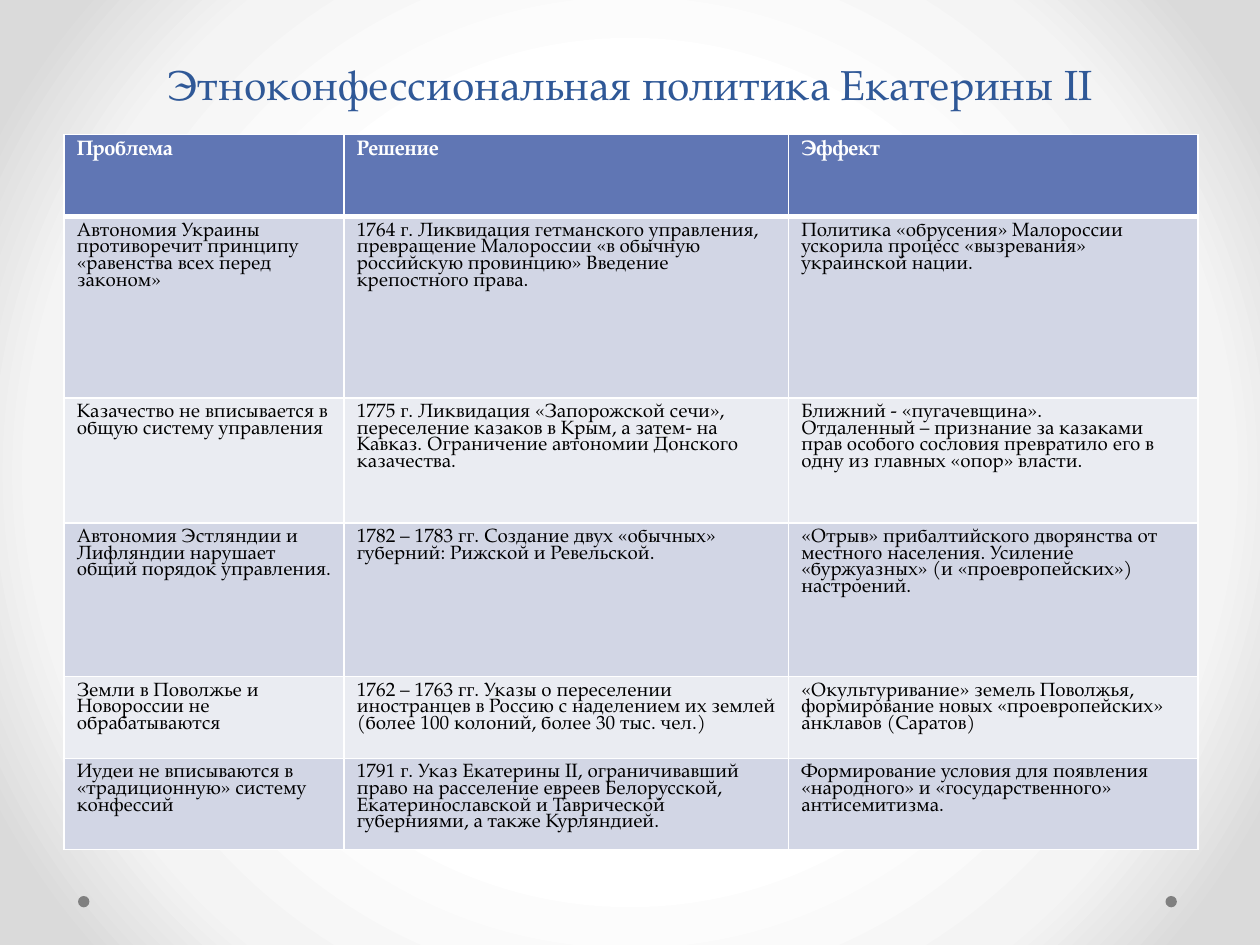
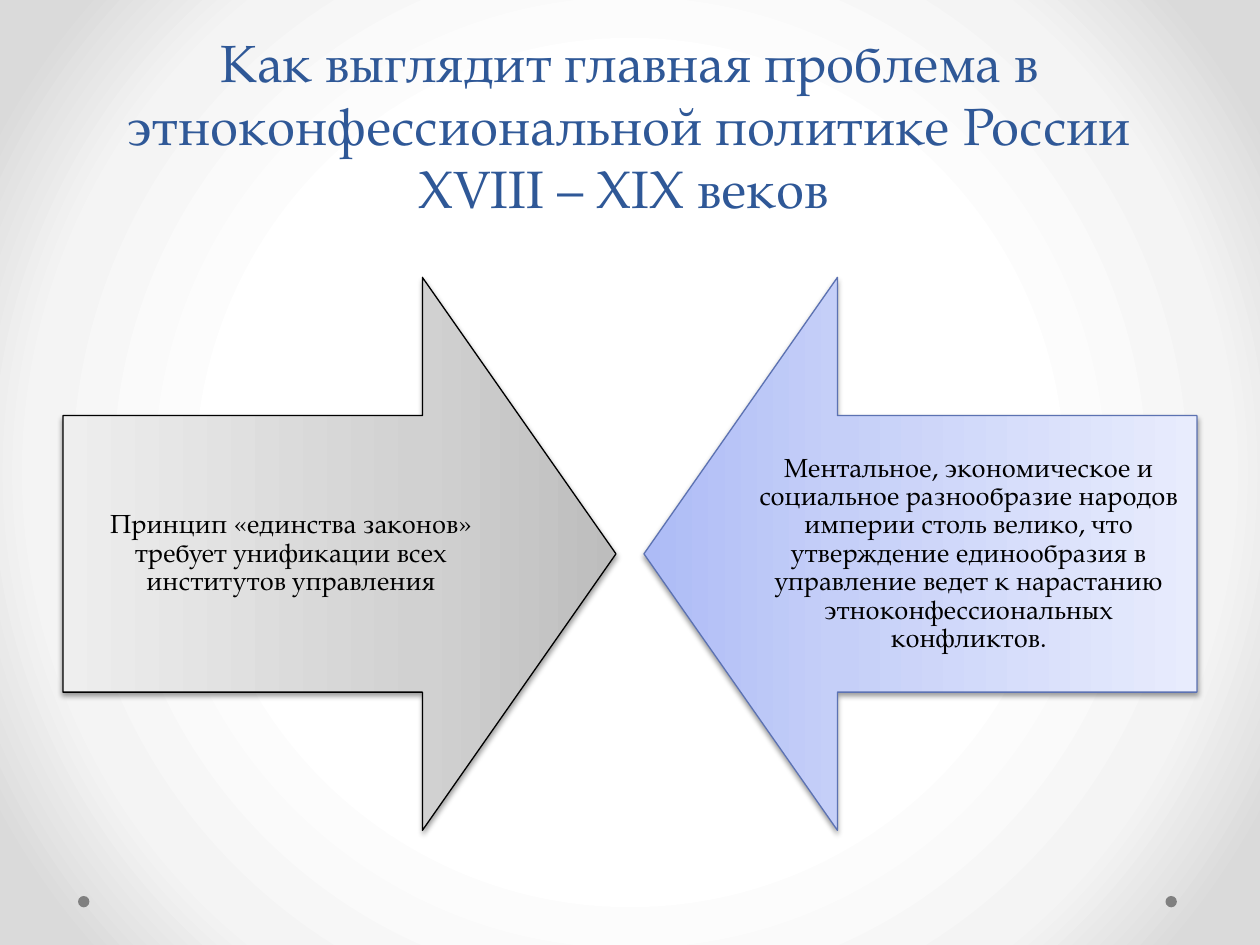
from lxml import etree
from pptx import Presentation
from pptx import util as u
from pptx.dml.color import RGBColor
from pptx.enum import shapes, text
from pptx.oxml import ns

Pt = u.Pt
FONT = "TeX Gyre Pagella"
BLACK = RGBColor(0, 0, 0)
WHITE = RGBColor(255, 255, 255)
TITLE_BLUE = RGBColor(0x2F, 0x58, 0x97)
DOT_GREY = RGBColor(0x80, 0x80, 0x80)
HEADER_BLUE = RGBColor(0x60, 0x76, 0xB4)
ROW_DARK = RGBColor(0xD2, 0xD6, 0xE5)
ROW_LIGHT = RGBColor(0xEA, 0xEC, 0xF2)
ARROW_BLUE = RGBColor(0x5C, 0x72, 0xB2)

# Gradient stops: position in percent, colour
BACKDROP = [(50, WHITE), (76, RGBColor(0xF4, 0xF4, 0xF4)), (92, RGBColor(0xDA, 0xDA, 0xDA))]
GREY_STOPS = [(0, RGBColor(0xBD, 0xBD, 0xBD)), (35, RGBColor(0xD1, 0xD1, 0xD1)),
              (100, RGBColor(0xEE, 0xEE, 0xEE))]
BLUE_STOPS = [(0, RGBColor(0xAD, 0xBB, 0xF6)), (35, RGBColor(0xC5, 0xCF, 0xF8)),
              (100, RGBColor(0xE8, 0xEC, 0xFD))]

MARGIN, CONTENT_W = 36, 648
COLUMNS = [160, 254, 234]
ROWS = [46.8, 103.7, 71.3, 87.8, 46.8, 46.8]
POLICY = [
    ["Проблема", "Решение", "Эффект"],
    ["Автономия Украины противоречит принципу «равенства всех перед законом»",
     "1764 г. Ликвидация гетманского управления, превращение Малороссии "
     "«в обычную российскую провинцию» Введение крепостного права.",
     "Политика «обрусения» Малороссии ускорила процесс «вызревания» украинской нации."],
    ["Казачество не вписывается в общую систему управления",
     "1775 г. Ликвидация «Запорожской сечи», переселение казаков в Крым, "
     "а затем- на Кавказ. Ограничение автономии Донского казачества.",
     "Ближний - «пугачевщина».\nОтдаленный – признание за казаками прав особого "
     "сословия превратило его в одну из главных «опор» власти."],
    ["Автономия Эстляндии и Лифляндии нарушает общий порядок управления.",
     "1782 – 1783 гг. Создание двух «обычных» губерний: Рижской и Ревельской.",
     "«Отрыв» прибалтийского дворянства от местного населения. Усиление "
     "«буржуазных» (и «проевропейских») настроений."],
    ["Земли в Поволжье и Новороссии не обрабатываются",
     "1762 – 1763 гг. Указы о переселении иностранцев в Россию с наделением "
     "их землей (более 100 колоний, более 30 тыс. чел.)",
     "«Окультуривание» земель Поволжья, формирование новых «проевропейских» "
     "анклавов (Саратов)"],
    ["Иудеи не вписываются в «традиционную» систему конфессий",
     "1791 г. Указ Екатерины II, ограничивавший право на расселение евреев "
     "Белорусской, Екатеринославской и Таврической губерниями, а также Курляндией.",
     "Формирование условия для появления «народного» и «государственного» антисемитизма."],
]


def add_xml(parent, tag, **attrs):
    return etree.SubElement(parent, ns.qn(tag), {k: str(v) for k, v in attrs.items()})


def set_gradient(owner, fill, stops, angle=None):
    """Linear gradient at an angle, or a circular one from the centre."""
    fill.gradient()
    grad = owner.element.find(".//" + ns.qn("a:gradFill"))
    for child in list(grad):
        grad.remove(child)
    gs_list = add_xml(grad, "a:gsLst")
    for pos, color in stops:
        gs = add_xml(gs_list, "a:gs", pos=pos * 1000)
        add_xml(gs, "a:srgbClr", val=color)
    if angle is None:
        circle = add_xml(grad, "a:path", path="circle")
        add_xml(circle, "a:fillToRect", l=50000, t=50000, r=50000, b=50000)
    else:
        add_xml(grad, "a:lin", ang=angle * 60000, scaled=0)


def style_text(tf, size, color, bold=False, align=None, spacing=None):
    for p in tf.paragraphs:
        p.alignment = align
        p.line_spacing = spacing
        p.font.name, p.font.size = FONT, Pt(size)
        p.font.bold, p.font.color.rgb = bold, color


def add_slide(prs, title, size, height, spacing=None):
    s = prs.slides.add_slide(prs.slide_layouts[6])
    set_gradient(s, s.background.fill, BACKDROP)
    # Footer dots
    for x in (44.6, 666):
        dot = s.shapes.add_shape(shapes.MSO_SHAPE.OVAL, Pt(x), Pt(512), Pt(6.5), Pt(6.5))
        dot.shadow.inherit = False
        dot.fill.solid()
        dot.fill.fore_color.rgb = DOT_GREY
        dot.line.fill.background()
    # Title
    tf = s.shapes.add_textbox(Pt(MARGIN), Pt(21), Pt(CONTENT_W), Pt(height)).text_frame
    tf.word_wrap = True
    tf.vertical_anchor = text.MSO_ANCHOR.BOTTOM
    tf.text = title
    style_text(tf, size, TITLE_BLUE, align=text.PP_ALIGN.CENTER, spacing=spacing)
    return s


def style_cell(cell, row):
    header = row == 0
    tc_pr = cell._tc.get_or_add_tcPr()
    for side in "LRTB":
        thick = (header and side == "B") or (row == 1 and side == "T")
        ln = add_xml(tc_pr, f"a:ln{side}", w=Pt(3 if thick else 1))
        add_xml(add_xml(ln, "a:solidFill"), "a:srgbClr", val=WHITE)
    cell.fill.solid()
    cell.fill.fore_color.rgb = HEADER_BLUE if header else ROW_DARK if row % 2 else ROW_LIGHT
    style_text(cell.text_frame, 12 if header else 11, WHITE if header else BLACK,
               bold=header, spacing=0.85)


def add_policy_table(s):
    table = s.shapes.add_table(len(ROWS), len(COLUMNS), Pt(36.7), Pt(77),
                               Pt(CONTENT_W), Pt(sum(ROWS))).table
    for column, width in zip(table.columns, COLUMNS):
        column.width = Pt(width)
    for i, (height, words) in enumerate(zip(ROWS, POLICY)):
        table.rows[i].height = Pt(height)
        for j, word in enumerate(words):
            cell = table.cell(i, j)
            cell.text = word
            style_cell(cell, i)


def add_arrow(s, preset, x, stops, angle, line, words):
    sp = s.shapes.add_shape(preset, Pt(x), Pt(158.5), Pt(316), Pt(316))
    sp.adjustments[0], sp.adjustments[1] = 0.5, 0.35
    set_gradient(sp, sp.fill, stops, angle)
    sp.line.color.rgb, sp.line.width = line, Pt(0.75)
    # Soft shadow below
    sp.shadow.inherit = False
    effects = sp.element.spPr.find(ns.qn("a:effectLst"))
    shadow = add_xml(effects, "a:outerShdw", blurRad=Pt(3.1), dist=Pt(1.6),
                     dir=5400000, rotWithShape=0)
    add_xml(add_xml(shadow, "a:srgbClr", val=BLACK), "a:alpha", val=38000)
    # Text
    tf = sp.text_frame
    tf.word_wrap = True
    tf.vertical_anchor = text.MSO_ANCHOR.MIDDLE
    tf.margin_left = tf.margin_right = tf.margin_top = tf.margin_bottom = Pt(8.4)
    tf.text = words
    style_text(tf, 15, BLACK, align=text.PP_ALIGN.CENTER, spacing=0.9)


def main():
    prs = Presentation()
    prs.slide_width, prs.slide_height = Pt(720), Pt(540)

    # Slide 1: problems, decisions and effects
    s = add_slide(prs, "Этноконфессиональная политика Екатерины II", 24, 45, Pt(58))
    add_policy_table(s)

    # Slide 2: two opposing forces
    s = add_slide(prs, "Как выглядит главная проблема в этноконфессиональной "
                       "политике России\vXVIII – XIX веков ", 30, 108)
    add_arrow(s, shapes.MSO_SHAPE.RIGHT_ARROW, MARGIN, GREY_STOPS, 180, BLACK,
              "Принцип «единства законов» требует унификации всех институтов управления")
    add_arrow(s, shapes.MSO_SHAPE.LEFT_ARROW, 368, BLUE_STOPS, 0, ARROW_BLUE,
              "Ментальное, экономическое и социальное разнообразие народов империи "
              "столь велико, что утверждение единообразия в управление ведет к "
              "нарастанию этноконфессиональных конфликтов.")
    prs.save("out.pptx")


if __name__ == "__main__":
    main()
